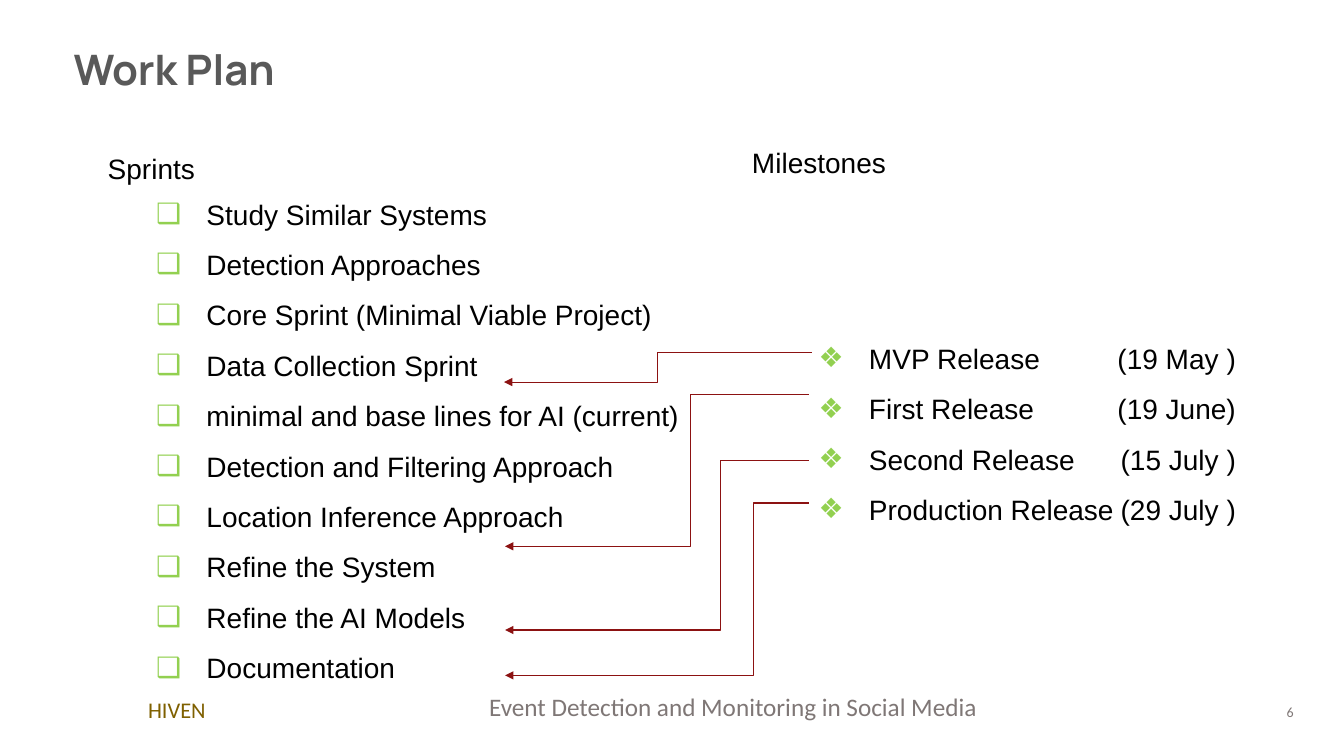
from dataclasses import dataclass

from lxml.etree import SubElement
from pptx import Presentation
from pptx.dml.color import RGBColor
from pptx.enum.shapes import MSO_CONNECTOR as Connector, MSO_SHAPE as Shape
from pptx.enum.text import MSO_ANCHOR as Anchor, MSO_AUTO_SIZE as AutoSize, PP_ALIGN as Align
from pptx.oxml.ns import qn
from pptx.util import Inches, Pt

COLORS = {
    "white": "FFFFFF", "text": "000000", "title": "595959", "footer": "7F7776",
    "label": "7F6000", "bullet": "92D050", "arrow": "8C1212",
}


@dataclass(frozen=True)
class TextBlock:
    box: tuple[float, float, float, float]
    lines: tuple[str, ...]
    size: int = 20
    font: str = "Arial"
    color: str = "text"
    bold: bool = False
    align: Align = Align.LEFT
    anchor: Anchor = Anchor.TOP
    auto_size: AutoSize = AutoSize.SHAPE_TO_FIT_TEXT
    insets: tuple[float, float] = (0.1, 0.05)
    spacing: float = 1.5
    bullet: str = ""
    tab: float = 0


@dataclass(frozen=True)
class Arrow:
    start: tuple[float, float]
    end: tuple[float, float]
    bend: float


TITLE = TextBlock((0.63, 0.33, 8.43, 0.57), ("Work Plan",), 30, "Manrope", "title", True,
                  auto_size=AutoSize.NONE, insets=(0.1, 0.1), spacing=1)
LABEL = TextBlock((1.37, 6.81, 2.21, 0.47), ("HIVEN",), 16, "Calibri", "label",
                  insets=(0.1, 0.1), spacing=1)
FOOTER_FORMAT = {"font": "Calibri", "color": "footer", "anchor": Anchor.BOTTOM,
                 "auto_size": AutoSize.NONE, "insets": (0, 0), "spacing": 1}

TEXT_BLOCKS = (
    # Footer
    TextBlock((12.41, 6.94, 0.42, 0.21), ("6",), 10, align=Align.RIGHT, **FOOTER_FORMAT),
    TextBlock((4.71, 6.95, 5.12, 0.21), ("Event Detection and Monitoring in Social Media",),
              18, align=Align.CENTER, **FOOTER_FORMAT),
    # Sprints
    TextBlock((0.97, 1.29, 7.76, 0.54), ("Sprints",)),
    TextBlock((1.45, 1.74, 7.76, 6.16), (
        "Study Similar Systems",
        "Detection Approaches",
        "Core Sprint (Minimal Viable Project)",
        "Data Collection Sprint",
        "minimal and base lines for AI (current)",
        "Detection and Filtering Approach",
        "Location Inference Approach",
        "Refine the System",
        "Refine the AI Models",
        "Documentation",
    ), bullet="❑"),
    # Milestones, with the dates aligned at a right tab
    TextBlock((8.02, 3.17, 5.39, 2.63), (
        "MVP Release\t(19 May )",
        "First Release\t(19 June)",
        "Second Release\t(15 July )",
        "Production Release\t(29 July )",
    ), bullet="❖", tab=4.14),
    TextBlock((7.36, 1.23, 4.9, 0.61), ("Milestones",)),
)

# Each arrow leads from a milestone to the sprint that ends with it
ARROWS = (
    Arrow((8.05, 3.5), (5, 3.79), 0.5),
    Arrow((8.02, 3.91), (5.01, 5.42), 0.39),
    Arrow((8.02, 4.57), (5.01, 6.25), 0.29),
    Arrow((8.02, 4.99), (5.01, 6.7), 0.18),
)


def rgb(name: str) -> RGBColor:
    return RGBColor.from_string(COLORS[name])


def apply_format(target, values: dict) -> None:
    for name, value in values.items():
        setattr(target, name, value)


def add_bullet(paragraph, block: TextBlock) -> None:
    properties = paragraph._p.get_or_add_pPr()
    properties.set("marL", str(Inches(0.5)))
    properties.set("indent", str(Inches(-0.5)))
    color = SubElement(properties, qn("a:buClr"))
    SubElement(color, qn("a:srgbClr"), val=COLORS["bullet"])
    SubElement(properties, qn("a:buFont"), typeface="Arial")
    SubElement(properties, qn("a:buChar"), char=block.bullet)
    if block.tab:
        tabs = SubElement(properties, qn("a:tabLst"))
        SubElement(tabs, qn("a:tab"), pos=str(Inches(block.tab)), algn="r")


def fill_text(shape, block: TextBlock) -> None:
    left, top, width, height = map(Inches, block.box)
    apply_format(shape, {"left": left, "top": top, "width": width, "height": height})
    across, down = map(Inches, block.insets)
    frame = shape.text_frame
    apply_format(frame, {
        "word_wrap": True, "auto_size": block.auto_size, "vertical_anchor": block.anchor,
        "margin_left": across, "margin_right": across,
        "margin_top": down, "margin_bottom": down,
    })
    for index, line in enumerate(block.lines):
        paragraph = frame.add_paragraph() if index else frame.paragraphs[0]
        apply_format(paragraph, {"alignment": block.align, "line_spacing": block.spacing})
        if block.bullet:
            add_bullet(paragraph, block)
        run = paragraph.add_run()
        run.text = line
        apply_format(run.font, {"name": block.font, "size": Pt(block.size), "bold": block.bold})
        run.font.color.rgb = rgb(block.color)


def add_arrow(slide, arrow: Arrow) -> None:
    connector = slide.shapes.add_connector(
        Connector.ELBOW, *map(Inches, arrow.start + arrow.end))
    connector.line.width = Pt(0.75)
    connector.line.color.rgb = rgb("arrow")
    properties = connector._element.spPr
    guides = properties.find(qn("a:prstGeom")).get_or_add_avLst()
    SubElement(guides, qn("a:gd"), name="adj1", fmla=f"val {round(arrow.bend * 100000)}")
    SubElement(connector.line._get_or_add_ln(), qn("a:tailEnd"), type="triangle")
    SubElement(properties, qn("a:effectLst"))


def main() -> None:
    presentation = Presentation()
    apply_format(presentation, {"slide_width": Inches(13.33), "slide_height": Inches(7.5)})
    slide = presentation.slides.add_slide(presentation.slide_layouts[5])

    # Title and label
    fill_text(slide.shapes.title, TITLE)
    label = slide.shapes.add_shape(Shape.RECTANGLE, *map(Inches, LABEL.box))
    label.shadow.inherit = False
    label.fill.solid()
    label.fill.fore_color.rgb = rgb("white")
    label.line.fill.background()
    fill_text(label, LABEL)

    # Lists, headings and footer
    for block in TEXT_BLOCKS:
        fill_text(slide.shapes.add_textbox(*map(Inches, block.box)), block)

    # Arrows
    for arrow in ARROWS:
        add_arrow(slide, arrow)

    presentation.save("out.pptx")


if __name__ == "__main__":
    main()
